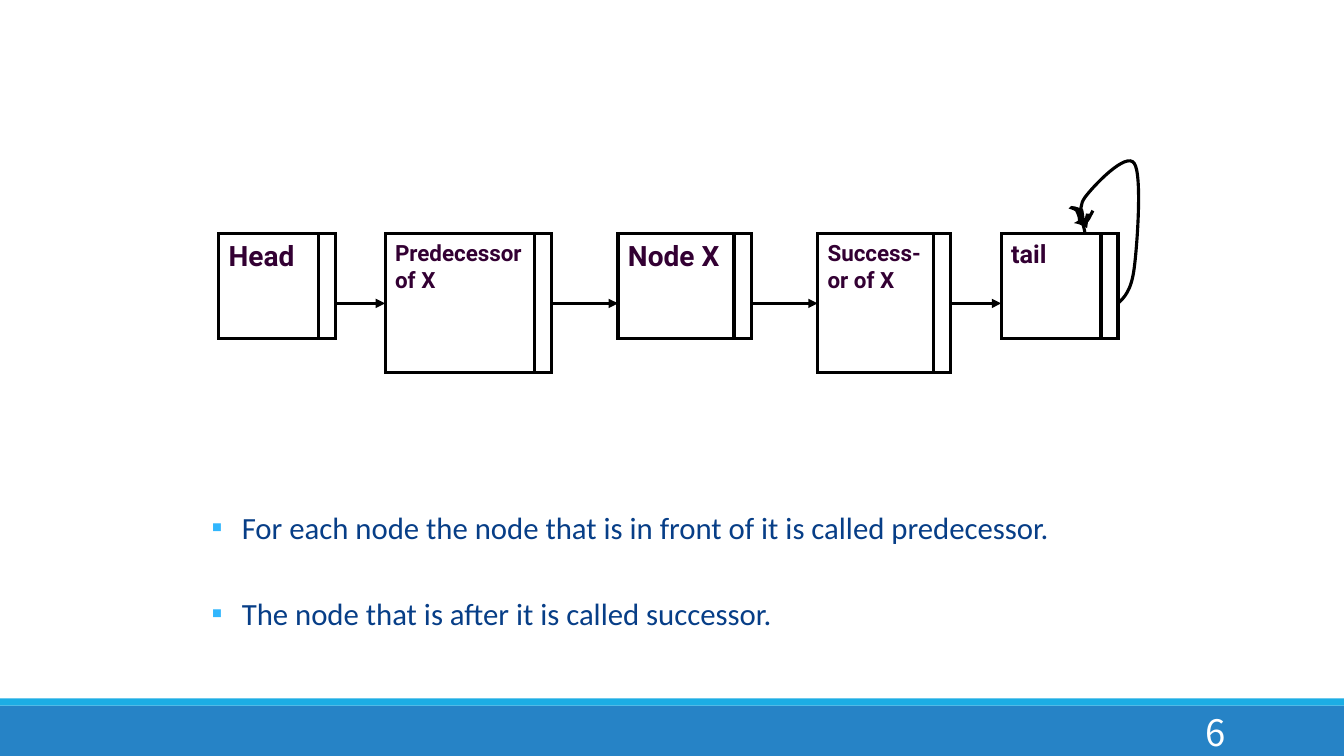
"""Build the slide on predecessor and successor in a linked list."""
import pptx
import pptx.util
import pptx.dml.color
import pptx.enum.shapes
import pptx.enum.text
import pptx.oxml.ns
import lxml.etree
from dataclasses import dataclass

PX = 9144
tag = pptx.oxml.ns.qn
RECT = pptx.enum.shapes.MSO_SHAPE.RECTANGLE
LINE = pptx.enum.shapes.MSO_CONNECTOR.STRAIGHT


@dataclass
class Theme:
    """Colours, faces and type sizes."""
    ink: str = "000000"
    paper: str = "FFFFFF"
    bar: str = "2683C6"
    strip: str = "1CADE4"
    label: str = "330033"
    body: str = "073E87"
    bullet: str = "31B6FD"
    node_face: str = "Roboto"
    body_face: str = "Calibri"
    page_face: str = "Noto Sans CJK KR"
    body_size: int = 22
    page_size: int = 26
    line: float = 2.25


theme = Theme()


def style(par, face, size, color, bold=False):
    """Format the runs of a paragraph."""
    for run in par.runs:
        font = run.font
        font.name, font.size, font.bold = face, pptx.util.Pt(size), bold
        font.color.rgb = pptx.dml.color.RGBColor.from_string(color)


def draw(shape):
    """Give a shape or connector the black line of the diagram."""
    shape.line.width = pptx.util.Pt(theme.line)
    shape.line.color.rgb = pptx.dml.color.RGBColor.from_string(theme.ink)
    lxml.etree.SubElement(shape.line._get_or_add_ln(), tag("a:miter"), lim="800000")


deck = pptx.Presentation()
deck.slide_width, deck.slide_height = 1333 * PX, 750 * PX
slide = deck.slides.add_slide(deck.slide_layouts[6])
shapes = slide.shapes

for top, height, color in ((700, 50, theme.bar), (693, 7, theme.strip)):
    band = shapes.add_shape(RECT, 0, top * PX, 1333 * PX, height * PX)
    band.shadow.inherit = False
    band.fill.solid()
    band.fill.fore_color.rgb = pptx.dml.color.RGBColor.from_string(color)
    band.line.fill.background()

page = shapes.add_textbox(1083 * PX, 706 * PX, 143 * PX, 40 * PX).text_frame
page.word_wrap = True
page.vertical_anchor = pptx.enum.text.MSO_ANCHOR.MIDDLE
page.text = "6"
page.paragraphs[0].alignment = pptx.enum.text.PP_ALIGN.RIGHT
style(page.paragraphs[0], theme.page_face, theme.page_size, theme.paper)

TOP, MID, SHORT, TALL, CELL = 232, 301, 104, 138, 17
nodes = (
    ("Head", 217, 116, SHORT, 20),
    ("Predecessor of X", 382, 165, TALL, 16),
    ("Node X", 613, 132, SHORT, 20),
    ("Success-or of X", 811, 132, TALL, 16),
    ("tail", 993, 116, SHORT, 18),
)
boxes = []
for text, left, width, height, size in nodes:
    box = shapes.add_shape(RECT, left * PX, TOP * PX, width * PX, height * PX)
    box.shadow.inherit = False
    box.fill.solid()
    box.fill.fore_color.rgb = pptx.dml.color.RGBColor.from_string(theme.paper)
    draw(box)
    frame = box.text_frame
    frame.word_wrap = True
    frame.vertical_anchor = pptx.enum.text.MSO_ANCHOR.TOP
    frame.text = text
    frame.paragraphs[0].alignment = pptx.enum.text.PP_ALIGN.LEFT
    style(frame.paragraphs[0], theme.node_face, size, theme.label, True)
    boxes.append(box)

links = []
for box in boxes:
    split = box.left + box.width - CELL * PX
    links.append(shapes.add_connector(LINE, split, box.top, split, box.top + box.height))
for start, end in zip(boxes, boxes[1:]):
    arrow = shapes.add_connector(LINE, start.left + start.width, MID * PX, end.left, MID * PX)
    if start.height == TALL * PX:
        arrow.begin_connect(start, 3)
    if end.height == TALL * PX:
        arrow.end_connect(end, 1)
    links.append(arrow)
for link in links:
    draw(link)
    lxml.etree.SubElement(link._element.spPr, tag("a:effectLst"))
for arrow in links[len(boxes):]:
    lxml.etree.SubElement(arrow.line._get_or_add_ln(), tag("a:tailEnd"), type="triangle")

loop = (
    (1109, 301), (1115, 295), (1122, 289), (1125, 266),
    (1128, 243), (1133, 173), (1125, 162),
    (1117, 150), (1084, 185), (1076, 196),
    (1067, 208), (1076, 225), (1076, 231),
)
tip = (
    (1068, 209), (1070, 211), (1072, 210), (1073, 213),
    (1075, 216), (1073, 224), (1075, 224),
    (1077, 224), (1081, 197), (1077, 224),
    (1060, 215), (1077, 229), (1068, 209),
    (1067, 207), (1061, 206), (1063, 206),
    (1067, 206), (1070, 208), (1073, 209),
    (1074, 213), (1074, 219), (1075, 220),
    (1078, 223), (1082, 212), (1084, 209),
)
for knots in (loop, tip):
    pen = shapes.build_freeform(*knots[0], scale=PX)
    pen.add_line_segments(knots[1:], close=False)
    stroke = pen.convert_to_shape()
    stroke.shadow.inherit = False
    stroke.fill.background()
    draw(stroke)
    route = stroke._element.find(".//" + tag("a:path"))
    legs = route.findall(tag("a:lnTo"))
    for first in range(0, len(legs), 3):
        curve = lxml.etree.SubElement(route, tag("a:cubicBezTo"))
        for leg in legs[first:first + 3]:
            curve.append(leg[0])
            route.remove(leg)

notes = shapes.add_textbox(200 * PX, 500 * PX, 917 * PX, 136 * PX).text_frame
notes.word_wrap = True
notes.text = (
    "For each node the node that is in front of it is called predecessor.\n"
    "The node that is after it is called successor."
)
for par in notes.paragraphs:
    props = par._p.get_or_add_pPr()
    props.set("marL", str(30 * PX))
    props.set("indent", str(-30 * PX))
    tint = lxml.etree.SubElement(props, tag("a:buClr"))
    lxml.etree.SubElement(tint, tag("a:srgbClr"), val=theme.bullet)
    lxml.etree.SubElement(props, tag("a:buFont"), typeface=theme.body_face)
    lxml.etree.SubElement(props, tag("a:buChar"), char="▪")
    style(par, theme.body_face, theme.body_size, theme.body)
notes.paragraphs[1].space_before = pptx.util.Pt(35)

deck.save("out.pptx")
